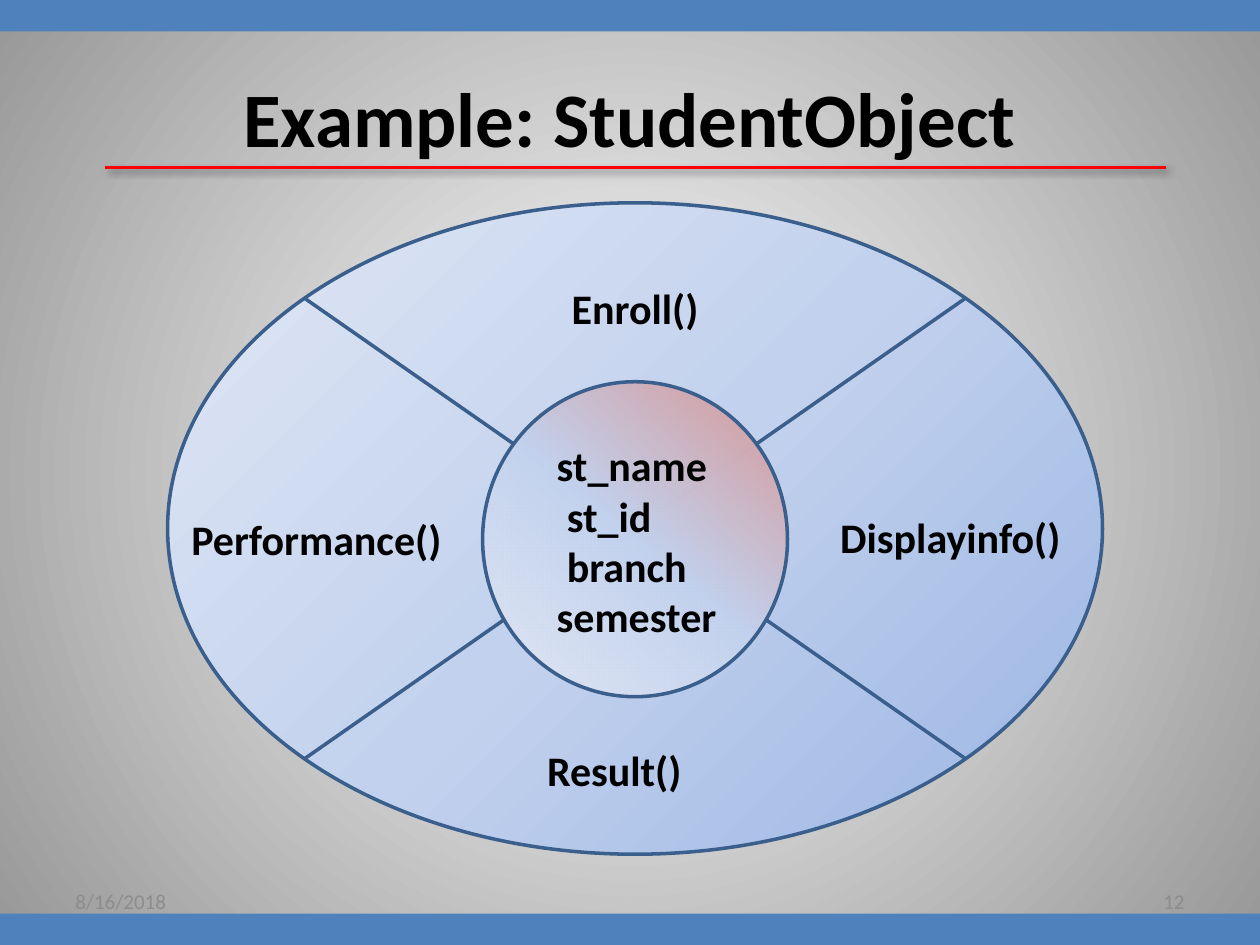
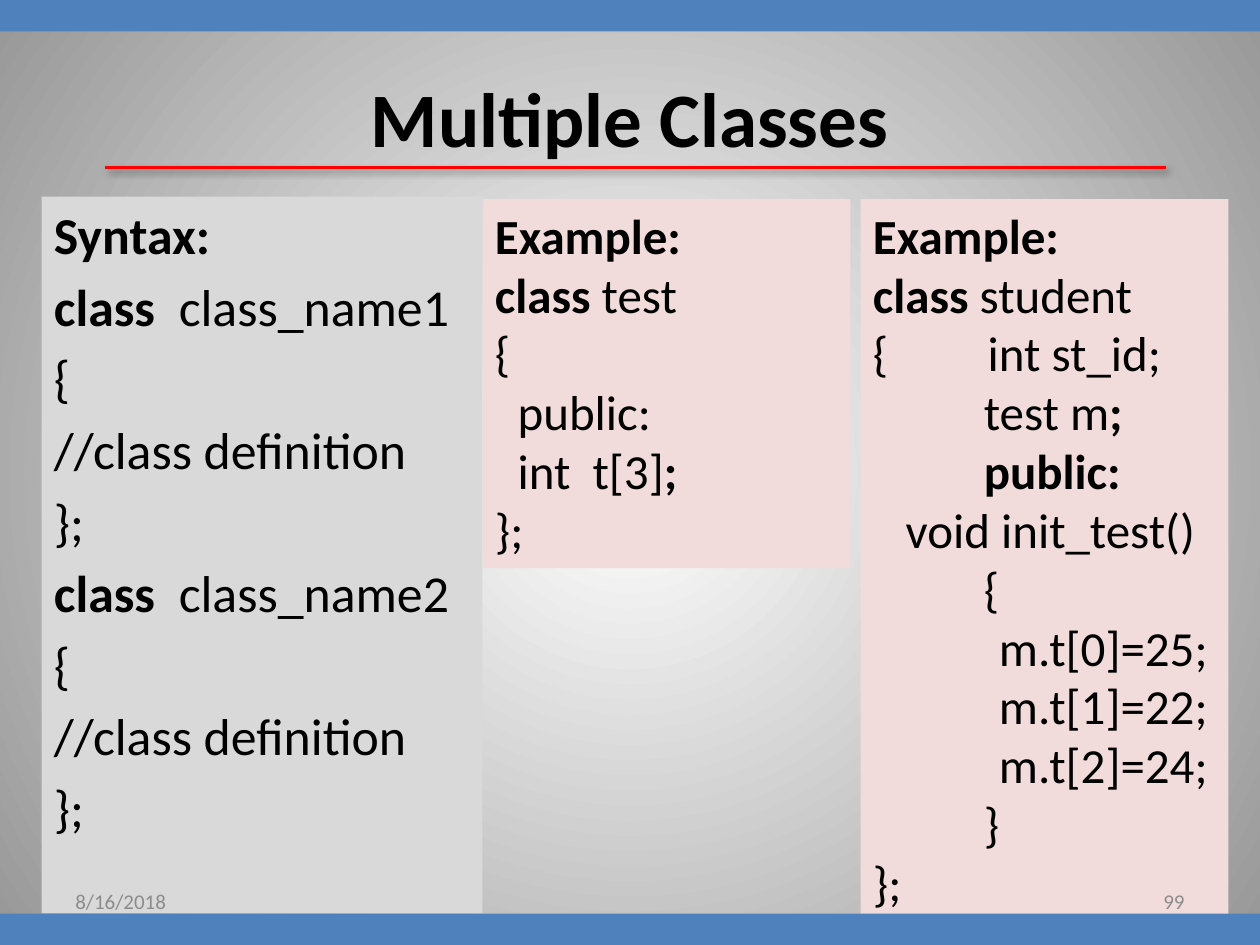
from lxml import etree
from pptx import Presentation
from pptx import util as u
from pptx.dml.color import RGBColor
from pptx.enum import shapes, text
from pptx.oxml import ns

# Colours and shared formats
BLACK = RGBColor(0x00, 0x00, 0x00)
BLUE = RGBColor(0x4F, 0x81, 0xBD)
NAVY = RGBColor(0x3A, 0x5F, 0x8C)
RED = RGBColor(0xFF, 0x00, 0x00)
SILVER = RGBColor(0xD9, 0xD9, 0xD9)
PINK = RGBColor(0xF2, 0xDC, 0xDB)
GREY = RGBColor(0x8C, 0x8C, 0x8C)
WHITE = RGBColor(0xFF, 0xFF, 0xFF)
DUSK = RGBColor(0x97, 0x97, 0x97)
DEEP = RGBColor(0x9A, 0xB5, 0xE4)
SKY = RGBColor(0xC2, 0xD1, 0xED)
PALE = RGBColor(0xE1, 0xE8, 0xF5)
ROSE = RGBColor(0xD9, 0x96, 0x94)

FONT = "Calibri"
LEFT, MID, RIGHT = (text.PP_ALIGN.LEFT, text.PP_ALIGN.CENTER,
                    text.PP_ALIGN.RIGHT)
TOP, CENTRE = text.MSO_ANCHOR.TOP, text.MSO_ANCHOR.MIDDLE
SHAPE = shapes.MSO_SHAPE
GLOW = '<a:path path="circle"><a:fillToRect l="50000" t="50000" r="50000" b="50000"/></a:path>'


def xml(body):
    """Build an element in the drawing namespace."""
    tag, rest = body.split(">", 1)
    return etree.fromstring(f'{tag} xmlns:a="{ns.nsuri("a")}">{rest}')


def blend(stops, way):
    """Gradient fill from (percent, colour, opacity) stops."""
    marks = "".join(
        f'<a:gs pos="{pos * 1000}"><a:srgbClr val="{tint}">'
        f'<a:alpha val="{alpha * 1000}"/></a:srgbClr></a:gs>'
        for pos, tint, alpha in stops)
    return xml(f'<a:gradFill><a:gsLst>{marks}</a:gsLst>{way}</a:gradFill>')


def slant(angle):
    return f'<a:lin ang="{angle * 60000}" scaled="0"/>'


def swap(root, fill):
    """Replace the first solid fill under root."""
    old = next(root.iter(ns.qn("a:solidFill")))
    old.getparent().replace(old, fill)


class Deck:
    def __init__(self):
        self.prs = Presentation()
        self.prs.slide_width = u.Inches(10)
        self.prs.slide_height = u.Inches(7.5)

    def start(self, title):
        """New slide with background and title."""
        self.slide = self.prs.slides.add_slide(self.prs.slide_layouts[6])
        self.slide.background.fill.solid()
        swap(self.slide.element,
             blend([(0, WHITE, 100), (100, DUSK, 100)], GLOW))
        self.label((0.5, 0.3, 9, 1.25), [f"*{title}*"], size=44,
                   align=MID, anchor=CENTRE)

    def typeset(self, frame, lines, size=24, color=BLACK, align=LEFT,
                anchor=TOP, before=0):
        """Lines are text or (text, indent); *stars* mark bold."""
        for key, val in dict(word_wrap=True, vertical_anchor=anchor).items():
            setattr(frame, key, val)
        for n, line in enumerate(lines):
            words, indent = line if isinstance(line, tuple) else (line, 0)
            para = frame.paragraphs[0] if n == 0 else frame.add_paragraph()
            para.alignment, para.space_before = align, u.Pt(before)
            props = para._p.get_or_add_pPr()
            if "\t" in words:
                props.append(xml(f'<a:tabLst><a:tab pos="{u.Inches(indent)}"'
                                 ' algn="l"/></a:tabLst>'))
            else:
                props.set("marL", str(u.Inches(indent)))
                props.set("indent", "0")
            for k, part in enumerate(words.split("*")):
                if not part:
                    continue
                run = para.add_run()
                run.text = part
                style = dict(name=FONT, size=u.Pt(size), bold=k % 2 == 1)
                for key, val in style.items():
                    setattr(run.font, key, val)
                run.font.color.rgb = color

    def label(self, area, lines, **style):
        box = self.slide.shapes.add_textbox(*map(u.Inches, area))
        self.typeset(box.text_frame, lines, **style)

    def form(self, kind, area, fill, edge=None):
        item = self.slide.shapes.add_shape(kind, *map(u.Inches, area))
        item.shadow.inherit = False
        item.fill.solid()
        item.fill.fore_color.rgb = fill
        if edge:
            item.line.color.rgb, item.line.width = edge, u.Pt(2)
        else:
            item.line.fill.background()
        return item

    def disc(self, kind, area, stops, angle):
        item = self.form(kind, area, SKY, NAVY)
        swap(item._element.spPr, blend(stops, slant(angle)))

    def panel(self, area, fill, lines, **style):
        box = self.form(SHAPE.RECTANGLE, area, fill)
        self.typeset(box.text_frame, lines, **style)

    def finish(self, page):
        """Bands, title rule, date and page number."""
        for top in (0, 7.25):
            self.form(SHAPE.RECTANGLE, (0, top, 10, 0.25), BLUE)
        ends = map(u.Inches, (0.83, 1.33, 9.25, 1.33))
        rule = self.slide.shapes.add_connector(
            shapes.MSO_CONNECTOR.STRAIGHT, *ends)
        rule.line.color.rgb, rule.line.width = RED, u.Pt(2)
        rule._element.spPr.append(xml(
            f'<a:effectLst><a:outerShdw blurRad="{u.Pt(4)}" dist="{u.Pt(3)}"'
            f' dir="{45 * 60000}"><a:srgbClr val="{BLACK}">'
            '<a:alpha val="40000"/></a:srgbClr></a:outerShdw></a:effectLst>'))
        for left, words, align in ((0.5, "8/16/2018", LEFT),
                                   (7.17, page, RIGHT)):
            self.label((left, 6.95, 2.33, 0.4), [words], size=12, color=GREY,
                       align=align, anchor=CENTRE)


def student(deck):
    deck.start("Example: StudentObject")
    # Methods around the data
    deck.disc(SHAPE.FLOWCHART_SUMMING_JUNCTION, (1.33, 1.61, 7.42, 5.17),
              [(0, DEEP, 100), (50, SKY, 100), (100, PALE, 100)], 225)
    deck.disc(SHAPE.FLOWCHART_CONNECTOR, (3.83, 3.03, 2.42, 2.5),
              [(0, ROSE, 97), (50, SKY, 100), (100, PALE, 100)], 130)
    deck.label((4.32, 3.44, 1.65, 1.72),
               ["*st_name*", ("*st_id*", 0.08), ("*branch*", 0.08),
                "*semester*"])
    for name, left, top, width, align in (
            ("Enroll()", 3.97, 2.19, 2.14, MID),
            ("Displayinfo()", 6.57, 4.01, 1.98, LEFT),
            ("Performance()", 1.42, 4.03, 2.26, LEFT),
            ("Result()", 4.05, 5.86, 1.65, MID)):
        deck.label((left, top, width, 0.5), [f"*{name}*"], align=align)
    deck.finish("12")


def classes(deck):
    deck.start("Multiple Classes")
    # Syntax
    syntax = ["*Syntax:*"]
    for n in (1, 2):
        syntax += [f"*class*  class_name{n}", "{", "//class definition", "};"]
    deck.panel((0.33, 1.56, 3.5, 5.69), SILVER, syntax, size=29.6, before=5.4)
    # Examples
    deep = 0.88
    marks = [(f"m.t[{n}]={val};", 1) for n, val in enumerate((25, 22, 24))]
    deck.panel((6.83, 1.58, 2.92, 5.76), PINK, [
        "*Example:*", "*class* student", ("{\tint st_id;", 0.91),
        ("test m*;*", deep), ("*public:*", deep),
        ("void init_test()", 0.26), ("{", deep), *marks, ("}", deep), "};",
    ], size=28)
    deck.panel((3.83, 1.58, 2.92, 2.93), PINK, [
        "*Example:*", "*class* test", "{", ("public:", 0.18),
        ("int  t[3]*;*", 0.18), "};",
    ], size=28)
    deck.finish("99")


def main():
    deck = Deck()
    student(deck)
    classes(deck)
    deck.prs.save("out.pptx")


if __name__ == "__main__":
    main()
